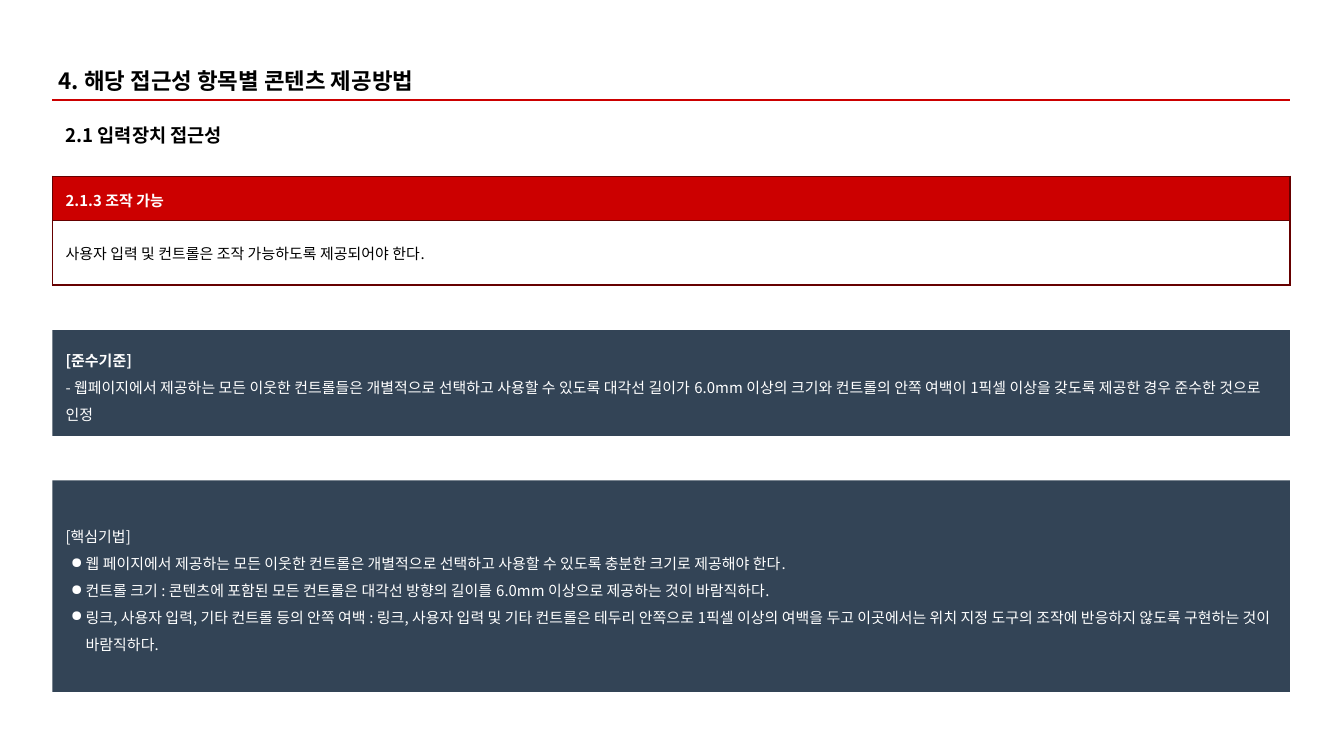
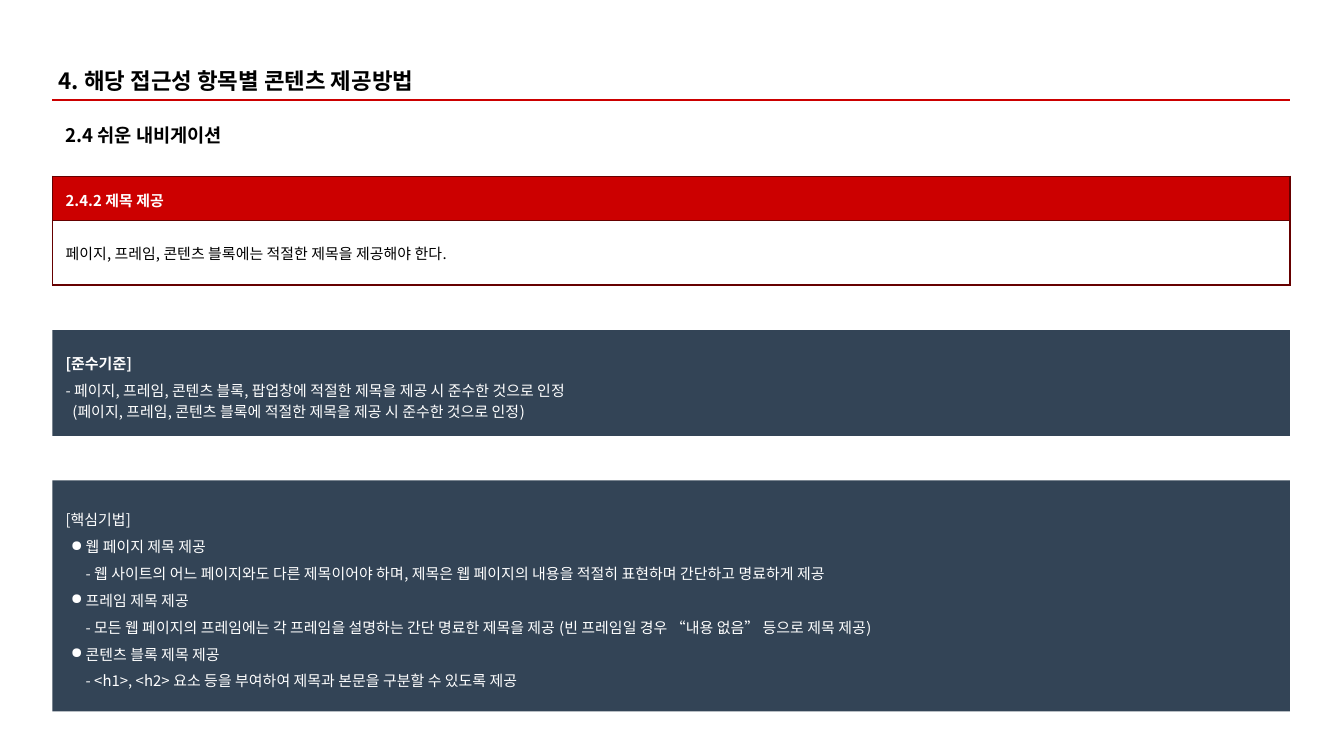
from typing import NamedTuple

from lxml.etree import SubElement
from pptx import Presentation
from pptx.dml.color import RGBColor
from pptx.enum.shapes import MSO_CONNECTOR, MSO_SHAPE
from pptx.enum.text import MSO_ANCHOR
from pptx.oxml.ns import qn
from pptx.slide import Slide
from pptx.table import _Cell
from pptx.text.text import TextFrame, _Paragraph
from pptx.util import Cm, Pt

FONT = "Noto Sans CJK KR"
RED = RGBColor(0xCC, 0x00, 0x00)
DARK_RED = RGBColor(0x66, 0x00, 0x00)
NAVY = RGBColor(0x33, 0x44, 0x56)
BLACK = RGBColor(0x00, 0x00, 0x00)
WHITE = RGBColor(0xFF, 0xFF, 0xFF)

LEFT, WIDTH = Cm(0.99), Cm(23.39)
INSET = Cm(0.25)
TITLE = "4. 해당 접근성 항목별 콘텐츠 제공방법"


class Line(NamedTuple):
    """A paragraph with an optional bold lead on a line of its own."""

    text: str
    lead: str = ""
    spacing: float = 1.5
    margin: float = 0
    hanging: float = 0


class Guideline(NamedTuple):
    """The content of one slide."""

    section: str
    name: str
    rule: str
    criteria: list[Line]
    techniques: list[Line]
    techniques_height: float


def bullet(text: str) -> Line:
    """Return a bulleted line."""
    return Line(text, margin=0.38, hanging=0.28)


def detail(text: str) -> Line:
    """Return a line that sits under a bullet."""
    return Line(text, margin=0.38)


GUIDELINES = [
    Guideline(
        "2.1 입력장치 접근성",
        "2.1.3 조작 가능",
        "사용자 입력 및 컨트롤은 조작 가능하도록 제공되어야 한다.",
        [
            Line(
                "- 웹페이지에서 제공하는 모든 이웃한 컨트롤들은 개별적으로 선택하고 사용할 수 있도록 "
                "대각선 길이가 6.0mm 이상의 크기와 컨트롤의 안쪽 여백이 1픽셀 이상을 갖도록 "
                "제공한 경우 준수한 것으로 인정",
                lead="[준수기준]",
            ),
        ],
        [
            Line("[핵심기법]"),
            bullet("웹 페이지에서 제공하는 모든 이웃한 컨트롤은 개별적으로 선택하고 "
                   "사용할 수 있도록 충분한 크기로 제공해야 한다."),
            bullet("컨트롤 크기 : 콘텐츠에 포함된 모든 컨트롤은 대각선 방향의 길이를 "
                   "6.0mm 이상으로 제공하는 것이 바람직하다."),
            bullet("링크, 사용자 입력, 기타 컨트롤 등의 안쪽 여백 : 링크, 사용자 입력 및 기타 컨트롤은 "
                   "테두리 안쪽으로 1픽셀 이상의 여백을 두고 이곳에서는 위치 지정 도구의 조작에 "
                   "반응하지 않도록 구현하는 것이 바람직하다."),
        ],
        4.0,
    ),
    Guideline(
        "2.4 쉬운 내비게이션",
        "2.4.2 제목 제공",
        "페이지, 프레임, 콘텐츠 블록에는 적절한 제목을 제공해야 한다.",
        [
            Line("- 페이지, 프레임, 콘텐츠 블록, 팝업창에 적절한 제목을 제공 시 준수한 것으로 인정",
                 lead="[준수기준]"),
            Line("(페이지, 프레임, 콘텐츠 블록에 적절한 제목을 제공 시 준수한 것으로 인정)",
                 spacing=1.15, margin=0.13),
        ],
        [
            Line("[핵심기법]"),
            bullet("웹 페이지 제목 제공"),
            detail("- 웹 사이트의 어느 페이지와도 다른 제목이어야 하며, 제목은 웹 페이지의 내용을 "
                   "적절히 표현하며 간단하고 명료하게 제공"),
            bullet("프레임 제목 제공"),
            detail("- 모든 웹 페이지의 프레임에는 각 프레임을 설명하는 간단 명료한 제목을 제공 "
                   "(빈 프레임일 경우 “내용 없음” 등으로 제목 제공)"),
            bullet("콘텐츠 블록 제목 제공"),
            detail("- <h1>, <h2> 요소 등을 부여하여 제목과 본문을 구분할 수 있도록 제공"),
        ],
        4.37,
    ),
]


def add_span(para: _Paragraph, text: str, *, size: float = 8,
             color: RGBColor = WHITE, bold: bool = False) -> None:
    """Add formatted text to a paragraph."""
    span = para.add_run()
    span.text = text
    span.font.size = Pt(size)
    span.font.bold = bold
    span.font.color.rgb = color
    span.font.name = FONT
    for script in ("a:ea", "a:cs"):
        SubElement(span.font._element, qn(script), typeface=FONT)


def set_insets(holder: TextFrame | _Cell) -> None:
    """Give a text frame or a cell equal insets."""
    holder.margin_left = holder.margin_right = INSET
    holder.margin_top = holder.margin_bottom = INSET


def add_heading(slide: Slide, text: str, left: int, top: int, width: int,
                height: int, size: float) -> None:
    """Add a bold heading."""
    frame = slide.shapes.add_textbox(left, top, width, height).text_frame
    frame.word_wrap = True
    set_insets(frame)
    add_span(frame.paragraphs[0], text, size=size, color=BLACK, bold=True)


def add_title_rule(slide: Slide) -> None:
    """Draw the red line under the title."""
    top = Cm(1.89)
    rule = slide.shapes.add_connector(MSO_CONNECTOR.STRAIGHT, LEFT, top, LEFT + WIDTH, top)
    rule.line.color.rgb = RED
    rule.line.width = Pt(0.75)
    SubElement(rule._element.spPr, qn("a:effectLst"))


def format_line(para: _Paragraph, line: Line) -> None:
    """Set the indents, bullet and spacing of a paragraph."""
    properties = para._p.get_or_add_pPr()
    properties.set("marL", str(Cm(line.margin)))
    properties.set("indent", str(-Cm(line.hanging)))
    properties.set("algn", "l")
    if line.hanging:
        color = SubElement(properties, qn("a:buClr"))
        SubElement(color, qn("a:srgbClr"), val=str(WHITE))
        SubElement(properties, qn("a:buChar"), char="●")
    para.line_spacing = line.spacing


def add_panel(slide: Slide, lines: list[Line], top: int, height: int) -> None:
    """Add a navy panel of lines."""
    box = slide.shapes.add_shape(MSO_SHAPE.RECTANGLE, LEFT, top, WIDTH, height)
    box.shadow.inherit = False
    box.fill.solid()
    box.fill.fore_color.rgb = NAVY
    box.line.fill.background()
    frame = box.text_frame
    frame.word_wrap = True
    frame.vertical_anchor = MSO_ANCHOR.MIDDLE
    set_insets(frame)
    for index, line in enumerate(lines):
        para = frame.add_paragraph() if index else frame.paragraphs[0]
        format_line(para, line)
        if line.lead:
            add_span(para, line.lead, bold=True)
            para.add_line_break()
        add_span(para, line.text)


def add_borders(cell: _Cell) -> None:
    """Draw the four borders of a cell."""
    properties = cell._tc.get_or_add_tcPr()
    for side in ("a:lnL", "a:lnR", "a:lnT", "a:lnB"):
        border = SubElement(properties, qn(side), w=str(Pt(0.75)))
        fill = SubElement(border, qn("a:solidFill"))
        SubElement(fill, qn("a:srgbClr"), val=str(DARK_RED))


def add_rule_table(slide: Slide, name: str, rule: str) -> None:
    """Add the table with the name and wording of a guideline."""
    heights = (Cm(0.79), Cm(1.22))
    table = slide.shapes.add_table(2, 1, LEFT, Cm(3.33), WIDTH, sum(heights)).table
    for row, height in zip(table.rows, heights):
        row.height = height
        cell = row.cells[0]
        cell.vertical_anchor = MSO_ANCHOR.MIDDLE
        set_insets(cell)
        add_borders(cell)
    header, body = table.cell(0, 0), table.cell(1, 0)
    header.fill.solid()
    header.fill.fore_color.rgb = RED
    body.fill.background()
    add_span(header.text_frame.paragraphs[0], name, bold=True)
    add_span(body.text_frame.paragraphs[0], rule, color=BLACK)


def add_guideline(slide: Slide, guideline: Guideline) -> None:
    """Fill a slide with one guideline."""
    add_heading(slide, TITLE, Cm(0.86), Cm(1.02), Cm(23.67), Cm(0.94), 12)
    add_title_rule(slide)
    add_heading(slide, guideline.section, LEFT, Cm(2.13), WIDTH, Cm(0.69), 10)
    add_panel(slide, guideline.criteria, Cm(6.24), Cm(2))
    add_panel(slide, guideline.techniques, Cm(9.08), Cm(guideline.techniques_height))
    add_rule_table(slide, guideline.name, guideline.rule)


def main() -> None:
    """Build and save the deck."""
    deck = Presentation()
    deck.slide_width, deck.slide_height = Cm(25.4), Cm(14.29)
    for guideline in GUIDELINES:
        page = deck.slides.add_slide(deck.slide_layouts[6])
        add_guideline(page, guideline)
    deck.save("out.pptx")


if __name__ == "__main__":
    main()
